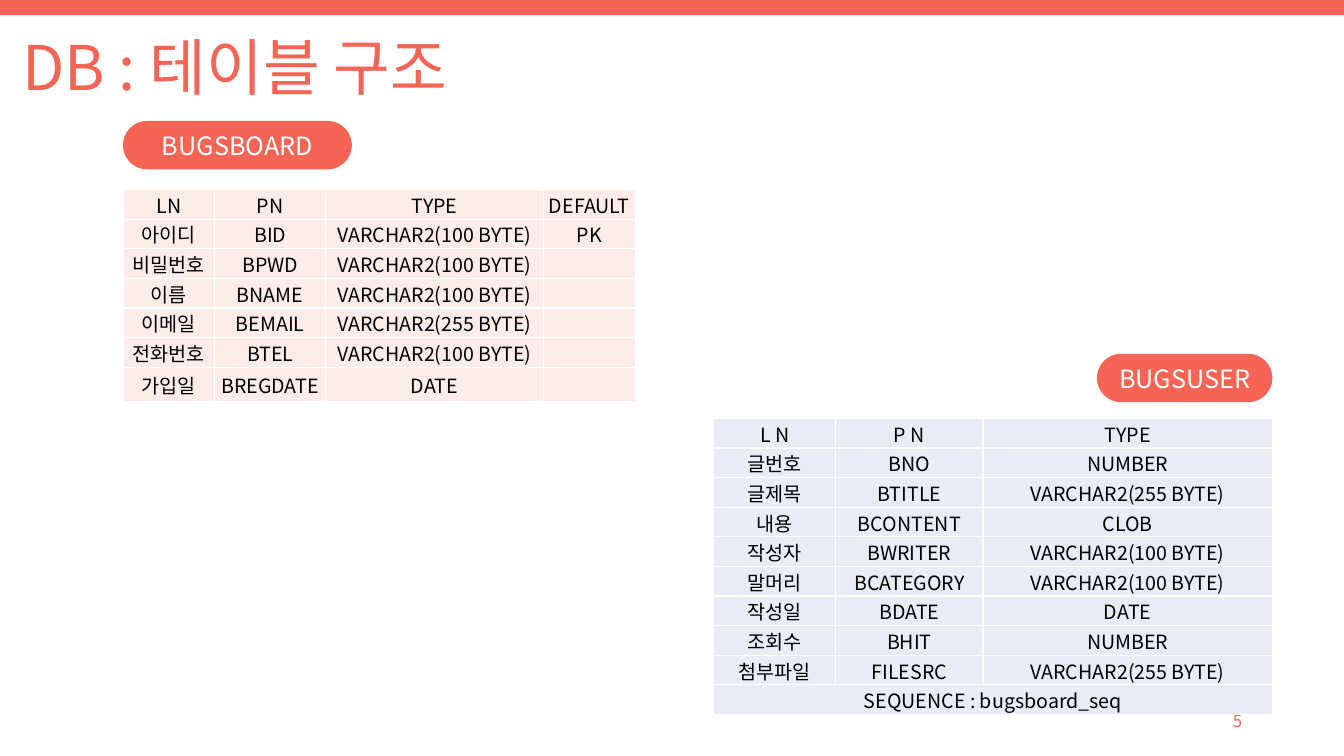
"""Build a slide showing the column layout of two database tables."""
import dataclasses
import typing

import lxml.etree
import pptx
import pptx.dml.color
import pptx.enum.shapes
import pptx.enum.text
import pptx.oxml.ns
import pptx.util

Inches = pptx.util.Inches
Pt = pptx.util.Pt
qn = pptx.oxml.ns.qn
Align = pptx.enum.text.PP_ALIGN
Shape = pptx.enum.shapes.MSO_SHAPE
FONT = "Noto Sans CJK KR"
CORAL = "F56455"
WHITE = "FFFFFF"
BLACK = "000000"


@dataclasses.dataclass
class Box:
    left: float
    top: float
    width: float
    height: float

    def place(self) -> tuple:
        return tuple(Inches(n) for n in (self.left, self.top, self.width, self.height))


@dataclasses.dataclass
class Pill:
    text: str
    box: Box


@dataclasses.dataclass
class Grid:
    left: float
    top: float
    fill: str
    cols: list[float]
    tall: list[float]
    rows: list[list[str]]
    merge: bool = False


PILLS = [
    Pill("BUGSUSER", Box(10.88, 3.51, 1.74, 0.48)),
    Pill("BUGSBOARD", Box(1.22, 1.2, 2.27, 0.48)),
]
GRIDS = [
    Grid(1.22, 1.88, "FCECE8", [0.91, 1.1, 2.16, 0.91], [0.23] * 5 + [0.24, 0.34], [
        ["LN", "PN", "TYPE", "DEFAULT"],
        ["아이디", "BID", "VARCHAR2(100 BYTE)", "PK"],
        ["비밀번호", "BPWD", "VARCHAR2(100 BYTE)", ""],
        ["이름", "BNAME", "VARCHAR2(100 BYTE)", ""],
        ["이메일", "BEMAIL", "VARCHAR2(255 BYTE)", ""],
        ["전화번호", "BTEL", "VARCHAR2(100 BYTE)", ""],
        ["가입일", "BREGDATE", "DATE", ""],
    ]),
    Grid(7.08, 4.15, "E9EBF5", [1.21, 1.46, 2.87], [0.24] + [0.23] * 9, [
        ["L N", "P N", "TYPE"],
        ["글번호", "BNO", "NUMBER"],
        ["글제목", "BTITLE", "VARCHAR2(255 BYTE)"],
        ["내용", "BCONTENT", "CLOB"],
        ["작성자", "BWRITER", "VARCHAR2(100 BYTE)"],
        ["말머리", "BCATEGORY", "VARCHAR2(100 BYTE)"],
        ["작성일", "BDATE", "DATE"],
        ["조회수", "BHIT", "NUMBER"],
        ["첨부파일", "FILESRC", "VARCHAR2(255 BYTE)"],
        ["SEQUENCE : bugsboard_seq", "", ""],
    ], merge=True),
]


def color(code: str) -> pptx.dml.color.RGBColor:
    return pptx.dml.color.RGBColor.from_string(code)


def write(frame: typing.Any, text: str, *, size: int, ink: str,
          align: Align = Align.CENTER, lead: float = 1.0) -> None:
    para = frame.paragraphs[0]
    para.alignment = align
    para.line_spacing = lead
    if not text:
        lxml.etree.SubElement(para._p, qn("a:endParaRPr"), sz=str(size * 100))
        return
    run = para.add_run()
    run.text = text
    run.font.size = Pt(size)
    run.font.name = FONT
    run.font.color.rgb = color(ink)
    lxml.etree.SubElement(run._r.get_or_add_rPr(), qn("a:ea"), typeface=FONT)


def label(frame: typing.Any, text: str, **style: typing.Any) -> None:
    frame.word_wrap = True
    frame.auto_size = pptx.enum.text.MSO_AUTO_SIZE.NONE
    frame.vertical_anchor = pptx.enum.text.MSO_ANCHOR.MIDDLE
    write(frame, text, **style)


def block(slide: typing.Any, kind: Shape, box: Box) -> typing.Any:
    shape = slide.shapes.add_shape(kind, *box.place())
    shape.shadow.inherit = False
    shape.fill.solid()
    shape.fill.fore_color.rgb = color(CORAL)
    shape.line.fill.background()
    return shape


def border(cell: typing.Any) -> None:
    props = cell._tc.get_or_add_tcPr()
    for side in "LRTB":
        line = lxml.etree.SubElement(props, qn(f"a:ln{side}"), w=str(Pt(1)))
        solid = lxml.etree.SubElement(line, qn("a:solidFill"))
        lxml.etree.SubElement(solid, qn("a:srgbClr"), val=WHITE)


def draw(slide: typing.Any, grid: Grid) -> None:
    box = Box(grid.left, grid.top, sum(grid.cols), sum(grid.tall))
    table = slide.shapes.add_table(len(grid.rows), len(grid.cols), *box.place()).table
    table.first_row = False
    table.horz_banding = False
    for col, width in zip(table.columns, grid.cols):
        col.width = Inches(width)
    for row, tall, texts in zip(table.rows, grid.tall, grid.rows):
        row.height = Inches(tall)
        for cell, text in zip(row.cells, texts):
            border(cell)
            cell.fill.solid()
            cell.fill.fore_color.rgb = color(grid.fill)
            cell.margin_left = cell.margin_right = cell.margin_top = Inches(0.01)
            cell.margin_bottom = 0
            cell.vertical_anchor = pptx.enum.text.MSO_ANCHOR.MIDDLE
            write(cell.text_frame, text, size=14, ink=BLACK)
    if grid.merge:
        last = len(grid.rows) - 1
        table.cell(last, 0).merge(table.cell(last, len(grid.cols) - 1))


def main() -> None:
    deck = pptx.Presentation()
    deck.slide_width = Inches(13.33)
    deck.slide_height = Inches(7.5)
    slide = deck.slides.add_slide(deck.slide_layouts[5])

    block(slide, Shape.RECTANGLE, Box(0, 0, 13.33, 0.15))
    title = slide.shapes.title
    title.left, title.top, title.width, title.height = Box(0.12, -0.02, 11.5, 1.45).place()
    label(title.text_frame, "DB : 테이블 구조", size=44, ink=CORAL, align=Align.LEFT, lead=0.9)
    page = slide.shapes.add_textbox(*Box(9.42, 6.95, 3, 0.4).place())
    label(page.text_frame, "5", size=12, ink=CORAL, align=Align.RIGHT)

    for pill in PILLS:
        shape = block(slide, Shape.ROUNDED_RECTANGLE, pill.box)
        shape.adjustments[0] = 0.5
        label(shape.text_frame, pill.text, size=18, ink=WHITE)
    for grid in GRIDS:
        draw(slide, grid)
    deck.save("out.pptx")


if __name__ == "__main__":
    main()
